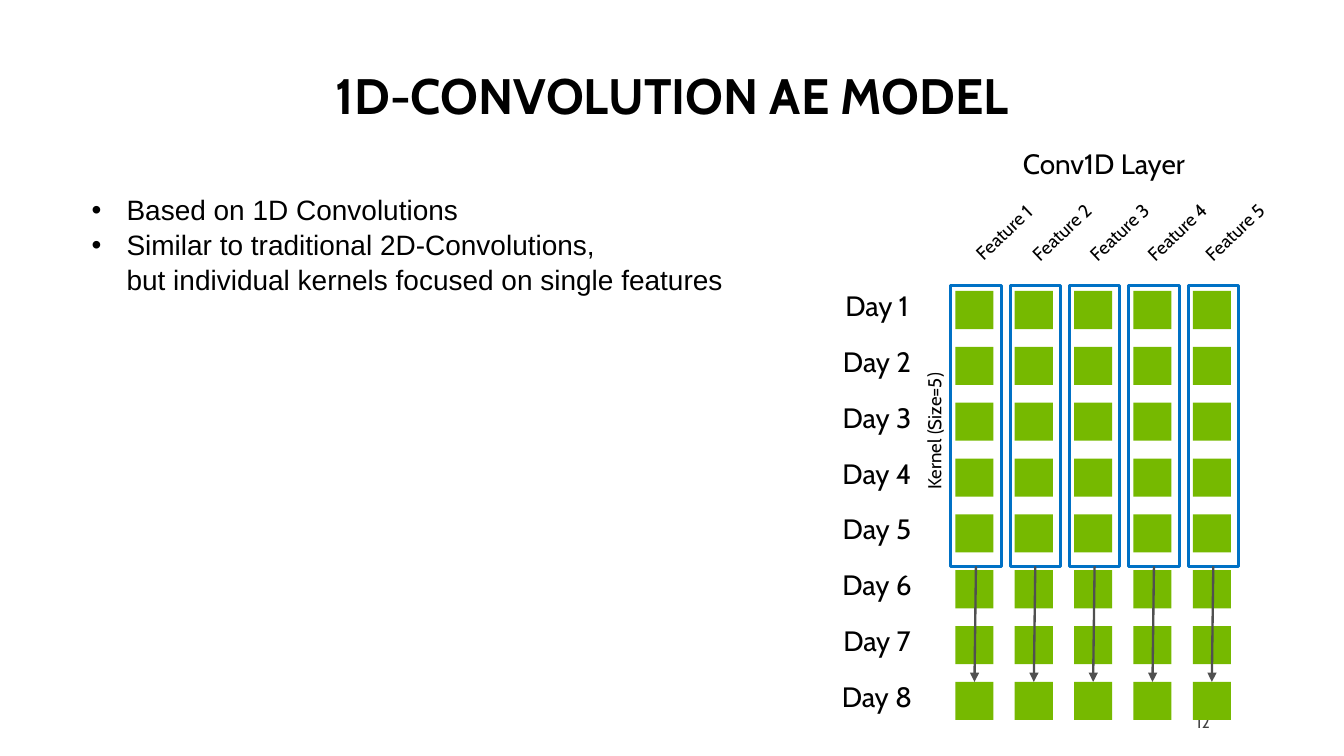
from lxml import etree
from pptx import Presentation
from pptx.dml.color import RGBColor
from pptx.enum import shapes, text
from pptx.oxml import ns
from pptx.util import Pt

BLACK, GREEN, BLUE, GREY = "000000", "76B900", "0071C5", "505050"
DAYS, FEATURES, KERNEL_SIZE = 8, 5, 5
CELL, COLUMN_STEP, ROW_STEP = 24.5, 38.15, 35.9


def colour(value):
    return RGBColor.from_string(value)


def add_span(para, words, size, font="Cabin", shade=BLACK, bold=False):
    span = para.add_run()
    span.text = words
    span.font.size = Pt(size)
    span.font.name = font
    span.font.bold = bold
    span.font.color.rgb = colour(shade)


def add_label(parent, words, left, top, width, height, size, angle=0,
              align=text.PP_ALIGN.CENTER, shade=BLACK):
    box = parent.add_textbox(Pt(left), Pt(top), Pt(width), Pt(height))
    box.rotation = angle
    frame = box.text_frame
    frame.word_wrap = True
    frame.vertical_anchor = text.MSO_ANCHOR.MIDDLE
    para = frame.paragraphs[0]
    para.alignment = align
    para.line_spacing = 0.9
    add_span(para, words, size, shade=shade)


def add_rectangle(parent, left, top, width, height, fill=None, line=None):
    box = parent.add_shape(shapes.MSO_SHAPE.RECTANGLE, Pt(left), Pt(top), Pt(width), Pt(height))
    box.shadow.inherit = False
    if fill:
        box.fill.solid()
        box.fill.fore_color.rgb = colour(fill)
    else:
        box.fill.background()
    if line:
        box.line.color.rgb = colour(line)
        box.line.width = Pt(2)
    else:
        box.line.fill.background()
    return box


def add_arrow(page, kernel, cell):
    """Join the bottom of the kernel to the top of the cell."""
    arrow = page.shapes.add_connector(shapes.MSO_CONNECTOR.STRAIGHT, 0, 0, 0, 0)
    arrow.begin_connect(kernel, 2)
    arrow.end_connect(cell, 0)
    arrow.line.color.rgb = colour(GREY)
    arrow.line.width = Pt(1.5)
    etree.SubElement(arrow.line._get_or_add_ln(), ns.qn("a:tailEnd"), type="triangle")
    etree.SubElement(arrow._element.spPr, ns.qn("a:effectLst"))


def add_title(page, words, left, top, width, height):
    title = page.shapes.title
    title.left, title.top, title.width, title.height = map(Pt, (left, top, width, height))
    frame = title.text_frame
    frame.vertical_anchor = text.MSO_ANCHOR.BOTTOM
    para = frame.paragraphs[0]
    para.alignment = text.PP_ALIGN.CENTER
    para.line_spacing = 0.9
    add_span(para, words, 32, bold=True)


def add_bullets(page, items, left, top, width, height):
    """Each item is a list of lines under one bullet."""
    frame = page.shapes.add_textbox(Pt(left), Pt(top), Pt(width), Pt(height)).text_frame
    frame.word_wrap = True
    for number, lines in enumerate(items):
        para = frame.add_paragraph() if number else frame.paragraphs[0]
        para.line_spacing = 1.04
        properties = para._p.get_or_add_pPr()
        properties.set("marL", str(Pt(22.5)))
        properties.set("indent", str(Pt(-22.5)))
        etree.SubElement(properties, ns.qn("a:buFont"), typeface="Arial")
        etree.SubElement(properties, ns.qn("a:buChar"), char="•")
        for position, line in enumerate(lines):
            if position:
                para.add_line_break()
            add_span(para, line, 18, "Arial")


def add_day(page, number, left, top):
    """Group one row of cells with its label and return the cells."""
    row = page.shapes.add_group_shape().shapes
    cells = [add_rectangle(row, left + 82.8 + COLUMN_STEP * column, top + 2.7, CELL, CELL, GREEN)
             for column in range(FEATURES)]
    add_label(row, f"Day {number}", left, top, 64.8, 26.6, 18)
    return cells


def add_layer_diagram(page, left, top):
    add_label(page.shapes, "Conv1D Layer", left + 111, top, 134.6, 26.6, 18)
    rows = [add_day(page, day + 1, left, top + 91.5 + ROW_STEP * day) for day in range(DAYS)]
    for column in range(FEATURES):
        add_label(page.shapes, f"Feature {column + 1}", left + 76.3 + 37.1 * column, top + 46.8,
                  76.3, 20.2, 12, angle=316.5)
    add_label(page.shapes, "Kernel (Size=5)", left + 20.2, top + 174.2, 99.4, 20.2, 12, angle=270)
    for column, cell in enumerate(rows[-1]):
        kernel = add_rectangle(page.shapes, left + 79.8 + COLUMN_STEP * column, top + 90.5,
                               32.4, KERNEL_SIZE * ROW_STEP + 1.2, line=BLUE)
        add_arrow(page, kernel, cell)


def main():
    deck = Presentation()
    deck.slide_width, deck.slide_height = Pt(864), Pt(486)
    page = deck.slides.add_slide(deck.slide_layouts[5])
    add_title(page, "1D-CONVOLUTION AE MODEL", 39.6, 37.4, 785.5, 46.8)
    add_label(page.shapes, "12", 590.4, 452.2, 194.4, 25.9, 10,
              align=text.PP_ALIGN.RIGHT, shade="404040")
    add_bullets(page, [
        ["Based on 1D Convolutions"],
        ["Similar to traditional 2D-Convolutions,",
         "but individual kernels focused on single features"],
    ], 51.8, 119.5, 436.3, 72.7)
    add_layer_diagram(page, 531.4, 92.9)
    deck.save("out.pptx")


if __name__ == "__main__":
    main()
